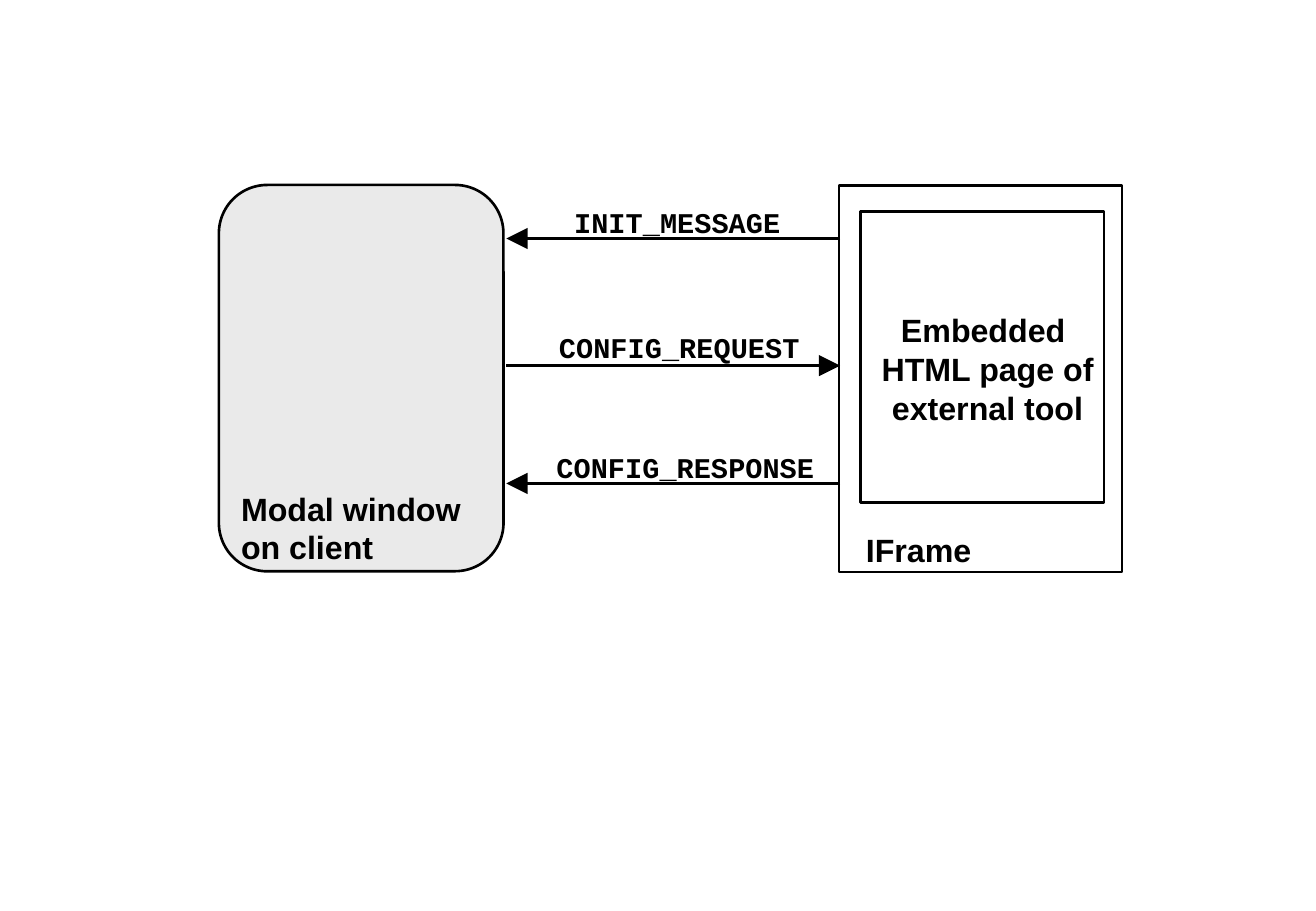
from copy import deepcopy

from pptx import Presentation
from pptx.dml.color import RGBColor
from pptx.enum.shapes import MSO_CONNECTOR, MSO_SHAPE
from pptx.enum.text import PP_ALIGN
from pptx.oxml.ns import qn
from pptx.util import Pt
from lxml.etree import SubElement

BLACK, WHITE, GREY = "000000", "FFFFFF", "EAEAEA"


def colour(value):
    return RGBColor.from_string(value)


def add_text(page, text, left, top, width, height, size=9, font="Arial",
             align=PP_ALIGN.CENTER):
    box = page.shapes.add_textbox(Pt(left), Pt(top), Pt(width), Pt(height))
    frame = box.text_frame
    frame.word_wrap = True
    para = frame.paragraphs[0]
    para.alignment = align
    for number, line in enumerate(text.split("\n")):
        if number:
            para.add_line_break()
        span = para.add_run()
        span.text = line
        span.font.size = Pt(size)
        span.font.name = font
        span.font.bold = True
        span.font.color.rgb = colour(BLACK)
    # Line breaks take the format of the text around them
    for line_break in para._p.findall(qn("a:br")):
        line_break.append(deepcopy(span._r.rPr))


def add_panel(page, kind, left, top, width, height, fill):
    panel = page.shapes.add_shape(kind, Pt(left), Pt(top), Pt(width), Pt(height))
    panel.shadow.inherit = False
    panel.fill.solid()
    panel.fill.fore_color.rgb = colour(fill)
    panel.line.color.rgb = colour(BLACK)
    panel.line.width = Pt(0.75)
    return panel


def add_arrow(page, start, end, y):
    arrow = page.shapes.add_connector(
        MSO_CONNECTOR.STRAIGHT, Pt(start), Pt(y), Pt(end), Pt(y))
    arrow.line.color.rgb = colour(BLACK)
    arrow.line.width = Pt(0.75)
    SubElement(arrow.line._get_or_add_ln(), qn("a:tailEnd"), type="triangle")
    SubElement(arrow._element.spPr, qn("a:effectLst"))


def draw_client(page, left, top, width, height):
    window = add_panel(page, MSO_SHAPE.ROUNDED_RECTANGLE,
                       left, top, width, height, GREY)
    window.adjustments[0] = 0.17
    add_text(page, "Modal window \non client", left - 0.9, top + 81.6, 101.5, 28.8,
             align=PP_ALIGN.LEFT)


def draw_iframe(page, left, top, width, height):
    add_panel(page, MSO_SHAPE.RECTANGLE, left, top, width, height, WHITE)
    add_text(page, "IFrame", left - 22.4, top + 93.1, 89.3, 18)
    # Page held in the frame
    add_panel(page, MSO_SHAPE.RECTANGLE,
              left + 5.9, top + 7.2, width - 10.9, height - 26.7, WHITE)
    add_text(page, "Embedded \nHTML page of external tool",
             left - 3.1, top + 31.5, 89.3, 39.6)


def draw_messages(page, left, top, width):
    right = left + width
    # Name, label centre and top, arrow height, whether it goes to the client
    messages = [
        ("INIT_MESSAGE", 47.9, 2.1, 15, True),
        ("CONFIG_REQUEST", 48.5, 37.2, 50.6, False),
        ("CONFIG_RESPONSE", 50.2, 70.8, 83.6, True),
    ]
    for name, centre, label_top, arrow_top, to_client in messages:
        add_text(page, name, left + centre - 47.5, top + label_top, 95, 17.3,
                 size=8, font="Courier New")
        start, end = (right, left) if to_client else (left, right)
        add_arrow(page, start, end, top + arrow_top)


def main():
    deck = Presentation()
    deck.slide_width, deck.slide_height = Pt(368.5), Pt(255.12)
    # The template's size label does not fit this page
    deck.element.sldSz.attrib.pop("type", None)
    page = deck.slides.add_slide(deck.slide_layouts[6])
    top, height = 51.8, 108.2
    draw_iframe(page, 235, top + 0.2, 79.2, height)
    draw_client(page, 61.3, top, 79.7, height)
    draw_messages(page, 141.8, top, 93.5)
    deck.save("out.pptx")


if __name__ == "__main__":
    main()
